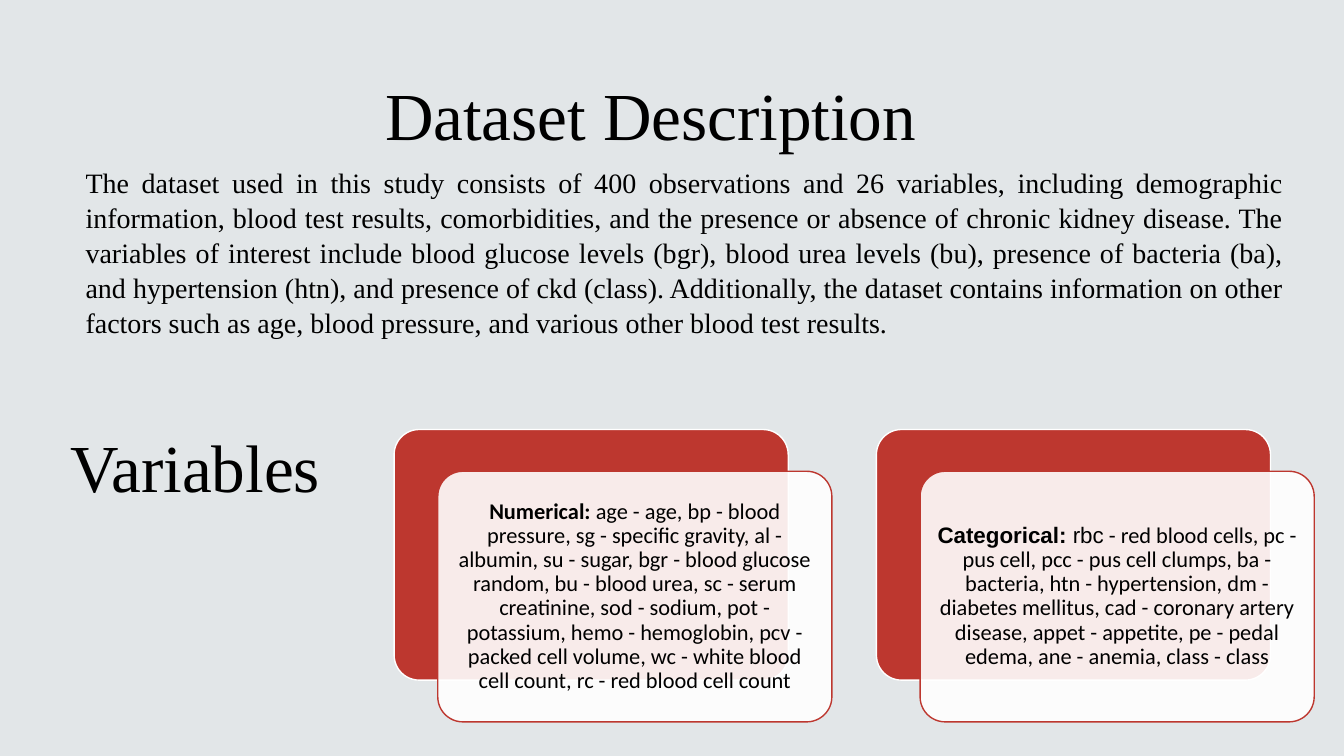
import pptx
import pptx.util
import pptx.dml.color
import pptx.enum.shapes
import pptx.enum.text
import lxml.etree

Pt = pptx.util.Pt
RGBColor = pptx.dml.color.RGBColor
ALIGN = pptx.enum.text.PP_ALIGN
ANCHOR = pptx.enum.text.MSO_ANCHOR

BACKGROUND = RGBColor(0xE2, 0xE6, 0xE8)
RED = RGBColor(0xBD, 0x37, 0x2F)
WHITE = RGBColor(0xFF, 0xFF, 0xFF)
BLACK = RGBColor(0x00, 0x00, 0x00)
SERIF = "Times New Roman"

deck = pptx.Presentation()
deck.slide_width = Pt(960)
deck.slide_height = Pt(540)
slide = deck.slides.add_slide(deck.slide_layouts[6])
slide.background.fill.solid()
slide.background.fill.fore_color.rgb = BACKGROUND


def add_text(left, top, width, height, text, size, align, anchor):
    frame = slide.shapes.add_textbox(Pt(left), Pt(top), Pt(width), Pt(height)).text_frame
    frame.word_wrap = True
    frame.vertical_anchor = anchor
    paragraph = frame.paragraphs[0]
    paragraph.text = text
    paragraph.alignment = align
    paragraph.font.name = SERIF
    paragraph.font.size = Pt(size)
    paragraph.font.color.rgb = BLACK
    return paragraph


def add_card(left, top, fill, line):
    card = slide.shapes.add_shape(
        pptx.enum.shapes.MSO_SHAPE.ROUNDED_RECTANGLE, Pt(left), Pt(top), Pt(281.5), Pt(179)
    )
    card.adjustments[0] = 0.1
    card.shadow.inherit = False
    card.fill.solid()
    card.fill.fore_color.rgb = fill
    card.line.color.rgb = line
    card.line.width = Pt(1)
    return card


add_text(36, 28.8, 858, 104.4, "Dataset Description", 48, ALIGN.CENTER, ANCHOR.MIDDLE)

description = add_text(
    36, 113.8, 888, 138.2,
    "The dataset used in this study consists of 400 observations and 26 variables, "
    "including demographic information, blood test results, comorbidities, and the "
    "presence or absence of chronic kidney disease. The variables of interest include "
    "blood glucose levels (bgr), blood urea levels (bu), presence of bacteria (ba), and "
    "hypertension (htn), and presence of ckd (class). Additionally, the dataset contains "
    "information on other factors such as age, blood pressure, and various other blood "
    "test results.",
    20, ALIGN.JUSTIFY, ANCHOR.TOP,
)
description.line_spacing = 1.04
description_properties = description._p.get_or_add_pPr()
description_properties.set("marL", str(Pt(18)))
description_properties.set("indent", "0")

variable_groups = [
    [
        ("Numerical:", "Calibri", True),
        (" age - age, bp - blood pressure, sg - specific gravity, al - albumin, "
         "su - sugar, bgr - blood glucose random, bu - blood urea, sc - serum creatinine, "
         "sod - sodium, pot - potassium, hemo - hemoglobin, pcv - packed cell volume, "
         "wc - white blood cell count, rc - red blood cell count", "Calibri", False),
    ],
    [
        ("Categorical:", "Arial", True),
        (" rbc", "Arial", False),
        (" - red blood cells, pc - pus cell, pcc - pus cell clumps, ba - bacteria, "
         "htn - hypertension, dm - diabetes mellitus, cad - coronary artery disease, "
         "appet - appetite, pe - pedal edema, ane - anemia, class - class", "Calibri", False),
    ],
]

for column, group in enumerate(variable_groups):
    left = 281.5 + column * 344.5
    add_card(left, 306.8, RED, WHITE)
    front = add_card(left + 31.2, 336.6, WHITE, RED)
    tint = front.fill._xPr.find(".//" + pptx.oxml.ns.qn("a:srgbClr"))
    lxml.etree.SubElement(tint, pptx.oxml.ns.qn("a:alpha"), val="90000")
    frame = front.text_frame
    frame.word_wrap = True
    frame.vertical_anchor = ANCHOR.MIDDLE
    frame.margin_left = frame.margin_right = Pt(5)
    frame.margin_top = frame.margin_bottom = Pt(5)
    members = frame.paragraphs[0]
    members.alignment = ALIGN.CENTER
    members.line_spacing = 0.9
    members.font.size = Pt(16)
    members.font.color.rgb = BLACK
    for text, font, bold in group:
        run = members.add_run()
        run.text = text
        run.font.name = font
        run.font.bold = bold

add_text(43.2, 300.2, 228, 65.4, "Variables", 48, ALIGN.LEFT, ANCHOR.TOP)

deck.save("out.pptx")
